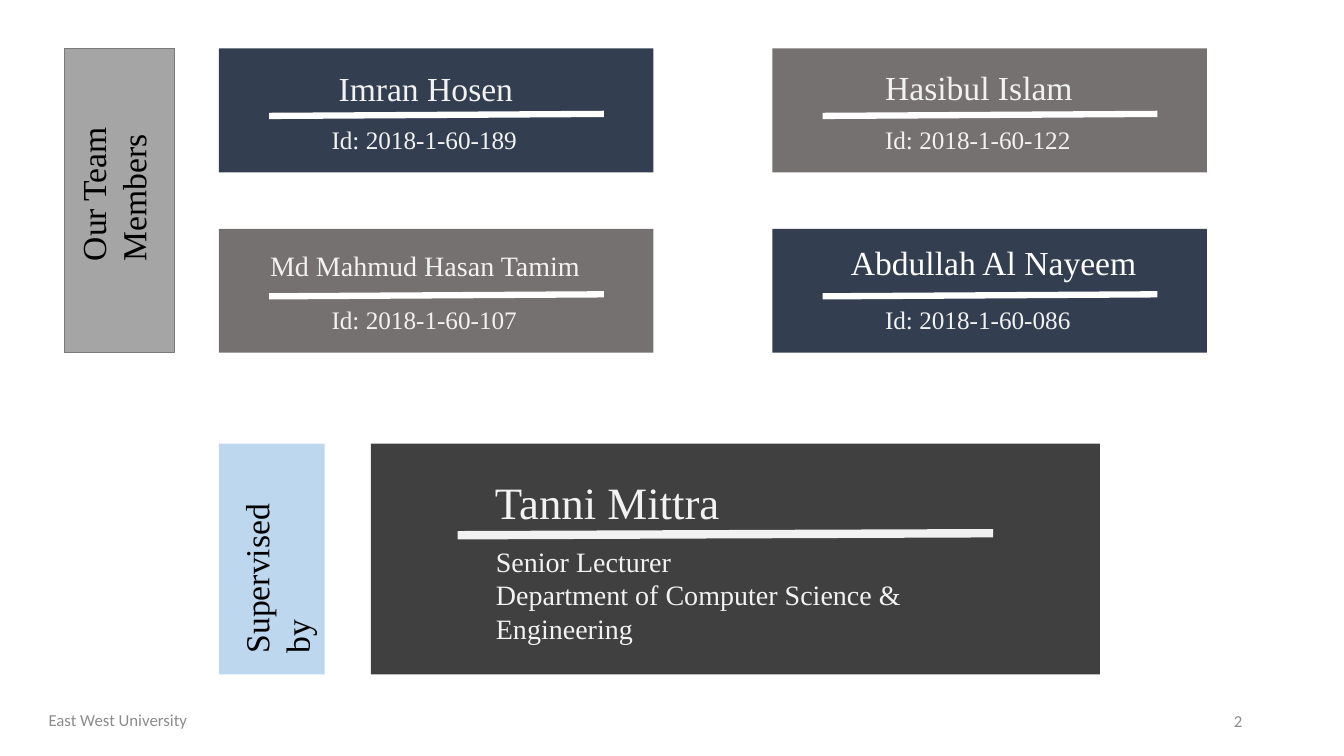
from dataclasses import dataclass

from lxml import etree
from pptx import Presentation
from pptx.dml.color import RGBColor
from pptx.enum import shapes, text
from pptx.oxml import ns
from pptx.util import Inches, Pt


@dataclass(frozen=True)
class Theme:
    serif: str = "Times New Roman"
    sans: str = "Calibri"
    navy: str = "333F50"
    taupe: str = "767171"
    charcoal: str = "404040"
    grey: str = "A5A5A5"
    grey_edge: str = "7A7A7A"
    sky: str = "BDD7EE"
    white: str = "FFFFFF"
    pale: str = "F2F2F2"
    black: str = "000000"
    muted: str = "8C8C8C"
    title: int = 32
    name: int = 24
    detail: int = 20
    student_id: int = 18
    footer: int = 12


theme = Theme()
deck = Presentation()
deck.slide_width, deck.slide_height = Inches(13.33), Inches(7.5)
page = deck.slides.add_slide(deck.slide_layouts[6])


def add_panel(left, top, width, height, fill, edge=None):
    panel = page.shapes.add_shape(shapes.MSO_SHAPE.RECTANGLE, Inches(left),
                                  Inches(top), Inches(width), Inches(height))
    panel.shadow.inherit = False
    panel.fill.solid()
    panel.fill.fore_color.rgb = RGBColor.from_string(fill)
    if edge:
        panel.line.color.rgb = RGBColor.from_string(edge)
        panel.line.width = Pt(1)
    else:
        panel.line.fill.background()


def add_label(words, left, top, width, height, size, color, font=theme.serif):
    box = page.shapes.add_textbox(Inches(left), Inches(top), Inches(width), Inches(height))
    frame = box.text_frame
    frame.word_wrap = True
    frame.auto_size = text.MSO_AUTO_SIZE.SHAPE_TO_FIT_TEXT
    frame.text = words
    for para in frame.paragraphs:
        for span in para.runs:
            span.font.name = font
            span.font.size = Pt(size)
            span.font.color.rgb = RGBColor.from_string(color)
    return frame


# Team member cards: name, card corner, card fill, name box, name size and colour
members = [
    ("Imran Hosen", "2018-1-60-189", 2.17, 0.48, theme.navy,
     (3.26, 0.62, 2.42, 0.5), theme.name, theme.pale),
    ("Hasibul Islam", "2018-1-60-122", 7.66, 0.48, theme.taupe,
     (8.68, 0.61, 2.42, 0.5), theme.name, theme.pale),
    ("Md Mahmud Hasan Tamim", "2018-1-60-107", 2.17, 2.27, theme.taupe,
     (2.58, 2.42, 3.7, 0.44), theme.detail, theme.pale),
    ("Abdullah Al Nayeem", "2018-1-60-086", 7.66, 2.27, theme.navy,
     (8.34, 2.35, 3.06, 0.5), theme.name, theme.white),
]
rules = []
for name, number, left, top, fill, name_box, size, color in members:
    add_panel(left, top, 4.31, 1.23, fill)
    add_label(name, *name_box, size, color)
    add_label(f"Id: {number}", left + 1.02, top + 0.7, 2.23, 0.71,
              theme.student_id, theme.pale)
    rules.append((left + 0.5, top + 0.67, 3.32, theme.white, 4.5))

# Supervisor card
add_panel(3.68, 4.4, 7.23, 2.29, theme.charcoal)
add_label("Tanni Mittra", 4.81, 4.66, 5.01, 0.64, theme.title, theme.pale)
add_label("Senior Lecturer\nDepartment of Computer Science & Engineering",
          4.82, 5.35, 4.73, 1.11, theme.detail, theme.pale)
rules.append((4.54, 5.31, 5.31, theme.pale, 6))

# Slightly rising rules under the names
for left, top, length, color, weight in rules:
    rule = page.shapes.add_connector(shapes.MSO_CONNECTOR.STRAIGHT, Inches(left), Inches(top),
                                     Inches(left + length), Inches(top - 0.02))
    rule.line.color.rgb = RGBColor.from_string(color)
    rule.line.width = Pt(weight)
    etree.SubElement(rule._element.spPr, ns.qn("a:effectLst"))

# Side panels with headings that read upwards
add_panel(0.64, 0.48, 1.09, 3.02, theme.grey, theme.grey_edge)
add_panel(2.17, 4.4, 1.05, 2.29, theme.sky)
for heading, *place in [("Our Team Members", 0.67, 0.37, 1.01, 2.32),
                        ("Supervised by", 2.29, 4.51, 0.91, 2.07)]:
    frame = add_label(heading, *place, theme.name, theme.black)
    frame._txBody.bodyPr.set("vert", "vert270")

# Footer and page number
for words, left, top, width, align in [
    ("East West University", -1.08, 6.94, 4.5, text.PP_ALIGN.CENTER),
    ("2", 9.42, 6.95, 3, text.PP_ALIGN.RIGHT),
]:
    frame = add_label(words, left, top, width, 0.4, theme.footer, theme.muted, theme.sans)
    frame.auto_size = text.MSO_AUTO_SIZE.NONE
    frame.vertical_anchor = text.MSO_ANCHOR.MIDDLE
    frame.paragraphs[0].alignment = align

deck.save("out.pptx")
